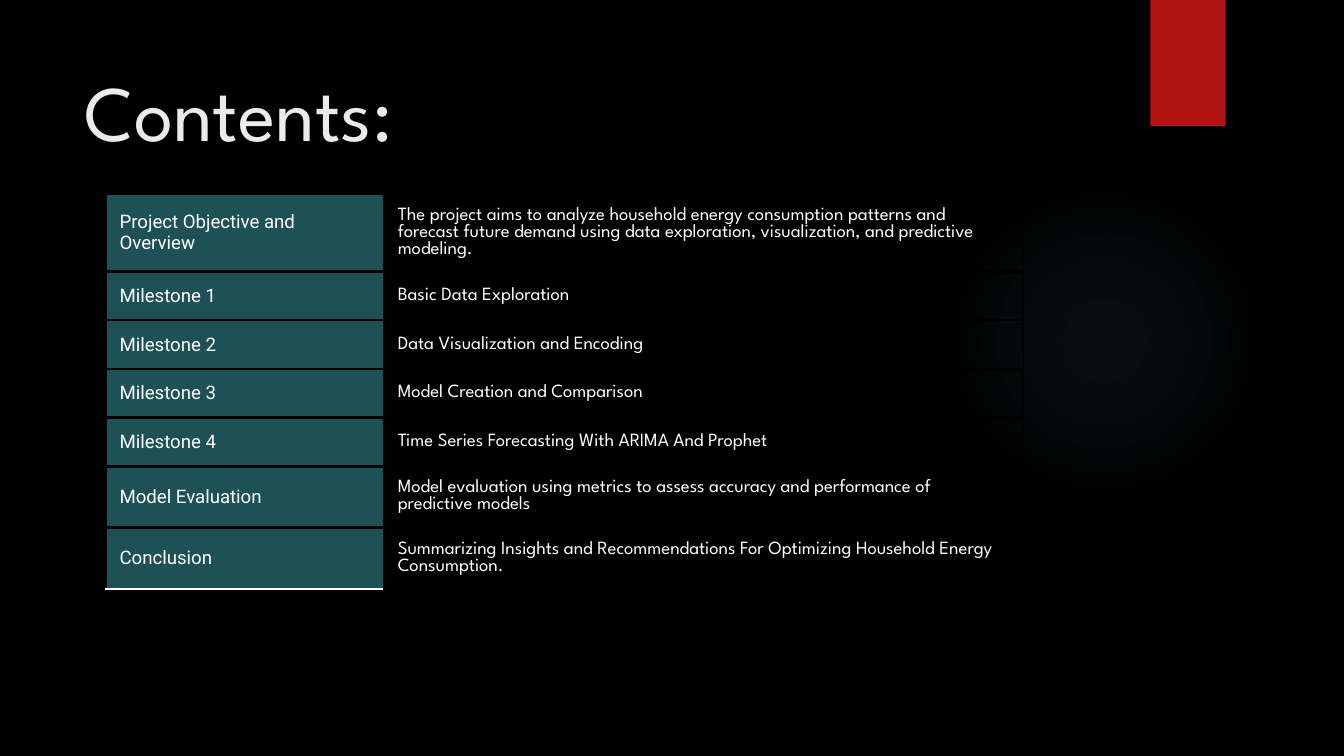
from lxml import etree
from pptx import Presentation
from pptx.dml.color import RGBColor
from pptx.enum.shapes import MSO_SHAPE
from pptx.enum.text import MSO_ANCHOR, PP_ALIGN
from pptx.oxml import parse_xml
from pptx.oxml.ns import nsdecls, qn
from pptx.util import Inches, Pt

BLACK = RGBColor(0x00, 0x00, 0x00)
WHITE = RGBColor(0xFF, 0xFF, 0xFF)
PALE = RGBColor(0xEB, 0xEB, 0xEB)
TEAL = RGBColor(0x1E, 0x51, 0x55)
GLOW = RGBColor(0x50, 0xB9, 0xC1)
RED = RGBColor(0xB0, 0x15, 0x13)

# label, detail, row height, space after the detail
ROWS = [
    ("Project Objective and Overview",
     "The project aims to analyze household energy consumption patterns and "
     "forecast future demand using data exploration, visualization, and "
     "predictive modeling.", 0.46, 0),
    ("Milestone 1", "Basic Data Exploration", 0.36, 16),
    ("Milestone 2", "Data Visualization and Encoding", 0.36, 16),
    ("Milestone 3", "Model Creation and Comparison", 0.36, 16),
    ("Milestone 4", "Time Series Forecasting With ARIMA And Prophet", 0.36, 0),
    ("Model Evaluation",
     "Model evaluation using metrics to assess accuracy and performance of "
     "predictive models", 0.36, 16),
    ("Conclusion",
     "Summarizing Insights and Recommendations For Optimizing Household "
     "Energy Consumption.", 0.46, 16),
]


def add_block(kind, left, top, width, height):
    """Add a preset shape with no line and no shadow."""
    block = slide.shapes.add_shape(
        kind, Inches(left), Inches(top), Inches(width), Inches(height))
    block.shadow.inherit = False
    block.line.fill.background()
    return block


def set_edges(cell, low):
    """Draw the four cell borders, black except for a white low edge."""
    props = cell._tc.get_or_add_tcPr()
    for i, side in enumerate(("lnL", "lnR", "lnT", "lnB")):
        white = low and side == "lnB"
        color, width = (WHITE, Pt(1)) if white else (BLACK, Pt(1.5))
        props.insert(i, parse_xml(
            f'<a:{side} {nsdecls("a")} w="{width}"><a:solidFill>'
            f'<a:srgbClr val="{color}"/></a:solidFill></a:{side}>'))


prs = Presentation()
prs.slide_width = Inches(10)
prs.slide_height = Inches(10) * 9 // 16
slide = prs.slides.add_slide(prs.slide_layouts[5])
slide.background.fill.solid()
slide.background.fill.fore_color.rgb = BLACK

# Soft glow and red tab
glow = add_block(MSO_SHAPE.OVAL, 7.06, 1.38, 2.31, 2.31)
glow.fill.gradient()
grad = glow._element.spPr.find(qn("a:gradFill"))
for part in list(grad):
    grad.remove(part)
stops = etree.SubElement(grad, qn("a:gsLst"))
for pos, alpha in ((0, 7), (36, 6), (69, 0)):
    stop = etree.SubElement(stops, qn("a:gs"), pos=str(pos * 1000))
    color = etree.SubElement(stop, qn("a:srgbClr"), val=str(GLOW))
    etree.SubElement(color, qn("a:alpha"), val=str(alpha * 1000))
round_fill = etree.SubElement(grad, qn("a:path"), path="circle")
etree.SubElement(round_fill, qn("a:fillToRect"),
                 dict.fromkeys("ltrb", "50000"))

tab = add_block(MSO_SHAPE.RECTANGLE, 8.56, 0, 0.56, 0.94)
tab.fill.solid()
tab.fill.fore_color.rgb = RED

# Title
title = slide.shapes.title
title.left, title.top = Inches(0.53), Inches(0.37)
title.width, title.height = Inches(7.71), Inches(1.15)
frame = title.text_frame
frame.text = "Contents:"
frame.vertical_anchor = MSO_ANCHOR.MIDDLE
frame.margin_left = frame.margin_right = frame.margin_top = Inches(0.1)
frame.margin_bottom = Inches(0.26)
para = frame.paragraphs[0]
para.alignment = PP_ALIGN.LEFT
para.line_spacing = 0.9
para.font.name = "League Spartan"
para.font.size = Pt(42)
para.font.color.rgb = PALE

# Contents table
holder = slide.shapes.add_table(
    len(ROWS), 2, Inches(0.79), Inches(1.44), Inches(6.82), Inches(3.23))
table = holder.table
table.first_row = False
table.horz_banding = False
table.columns[0].width = Inches(2.07)
table.columns[1].width = Inches(4.75)

for i, (label, detail, height, after) in enumerate(ROWS):
    table.rows[i].height = Inches(height)
    for j, text in enumerate((label, detail)):
        cell = table.cell(i, j)
        cell.text = text
        cell.vertical_anchor = MSO_ANCHOR.MIDDLE
        cell.margin_left = cell.margin_right = Inches(0.1)
        cell.margin_top = cell.margin_bottom = Inches(0.1)
        para = cell.text_frame.paragraphs[0]
        para.font.name = "League Spartan" if j else "Roboto"
        para.font.size = Pt(10)
        para.font.color.rgb = WHITE
        if j:
            para.space_after = Pt(after)
            cell.fill.background()
        else:
            cell.fill.solid()
            cell.fill.fore_color.rgb = TEAL
        set_edges(cell, j == 0 and i == len(ROWS) - 1)
holder.height = Inches(3.23)

prs.save("out.pptx")
